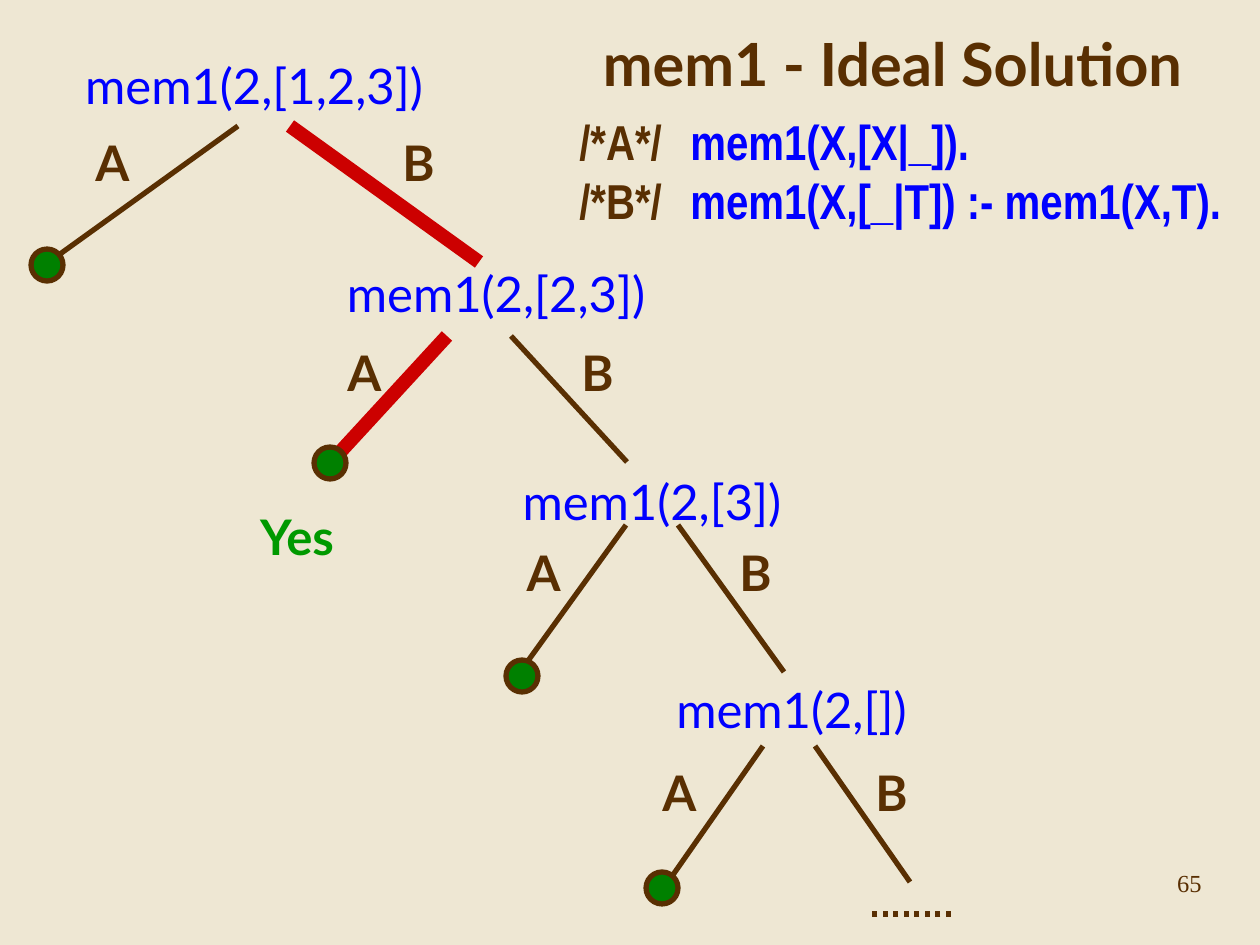
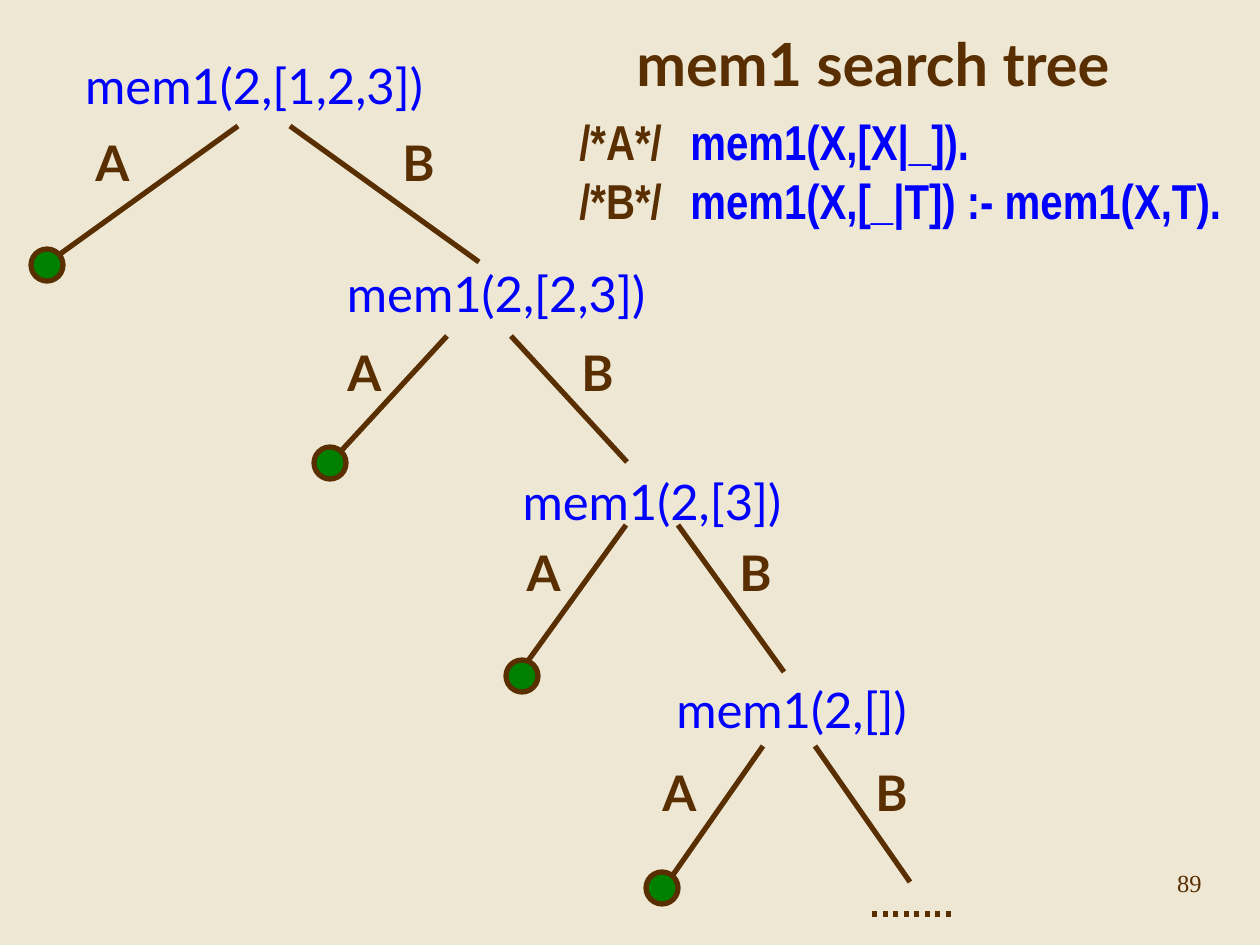
from collections import namedtuple

from lxml import etree
from pptx import Presentation
from pptx.dml.color import RGBColor
from pptx.enum.dml import MSO_LINE
from pptx.enum.shapes import MSO_CONNECTOR, MSO_SHAPE
from pptx.enum.text import MSO_ANCHOR, MSO_AUTO_SIZE, PP_ALIGN
from pptx.oxml.ns import qn
from pptx.util import Pt

STRAIGHT = MSO_CONNECTOR.STRAIGHT
OVAL = MSO_SHAPE.OVAL
DOTTED = MSO_LINE.ROUND_DOT
CENTER, LEFT = PP_ALIGN.CENTER, PP_ALIGN.LEFT

# Shared style
EMU_PER_PX = 914400 / 126
PAPER, BROWN, BLUE = "EEE7D3", "592F02", "0000FF"
RED, NODE_GREEN, YES_GREEN = "CC0000", "008000", "009900"
HEADING_FONT, CODE_FONT, NUMBER_FONT = "Lato", "Arial Narrow", "Times New Roman"
THIN, THICK = 3, 8
TEXT_HEIGHT = 72
NODE_SIZE = 32
CODE_TAB = 111
FRAME_FORMAT = {
    "word_wrap": False,
    "auto_size": MSO_AUTO_SIZE.SHAPE_TO_FIT_TEXT,
    "vertical_anchor": MSO_ANCHOR.MIDDLE,
}

# Search tree: both branches of a level mirror each other about its center
Level = namedtuple(
    "Level", "goal goal_x goal_width center half_gap spread top bottom a_x b_x label_y node"
)
LEVELS = [
    Level("mem1(2,[1,2,3])", 62, 384, 264, 26, 189, 126, 262, 83, 389, 126, (31, 249)),
    Level("mem1(2,[2,3])", 324, 344, 479, 32, 116, 336, 462, 335, 568, 336, (314, 447)),
    Level("mem1(2,[3])", 501, 302, 652, 26, 106, 525, 672, 514, 726, 536, (506, 660)),
    Level("mem1(2,[])", 654, 275, 789, 26, 95, 746, 882, 650, 862, 756, (646, 872)),
]
GOAL_TOP, GOAL_STEP = 49, 208
CLAUSES = [("/*A*/", "mem1(X,[X|_])."), ("/*B*/", "mem1(X,[_|T]) :- mem1(X,T).")]


def px(length):
    return round(length * EMU_PER_PX)


def color(hex_text):
    return RGBColor.from_string(hex_text)


class SlideWriter:
    def __init__(self, deck):
        self.deck = deck
        self.page = None

    def new_page(self):
        self.page = self.deck.slides.add_slide(self.deck.slide_layouts[6])
        fill = self.page.background.fill
        fill.solid()
        fill.fore_color.rgb = color(PAPER)

    def text(self, area, paragraphs, size=28, font=HEADING_FONT, bold=False,
             align=CENTER, tab=None):
        """Each paragraph is a list of (words, hex color) spans."""
        box = self.page.shapes.add_textbox(*map(px, area))
        frame = box.text_frame
        for name, value in FRAME_FORMAT.items():
            setattr(frame, name, value)
        span_format = {"size": Pt(size), "name": font, "bold": bold}
        for index, spans in enumerate(paragraphs):
            para = frame.add_paragraph() if index else frame.paragraphs[0]
            para.alignment = align
            if tab:
                self.tab_stop(para, tab)
            for words, hex_text in spans:
                span = para.add_run()
                span.text = words
                for name, value in span_format.items():
                    setattr(span.font, name, value)
                span.font.color.rgb = color(hex_text)

    def tab_stop(self, para, position):
        properties = para._p.get_or_add_pPr()
        stops = etree.SubElement(properties, qn("a:tabLst"))
        etree.SubElement(stops, qn("a:tab"), pos=str(px(position)), algn="l")

    def line(self, start, end, hex_text=BROWN, width=THIN, dash=None):
        line = self.page.shapes.add_connector(STRAIGHT, *map(px, (*start, *end)))
        line.line.color.rgb = color(hex_text)
        line.line.width = Pt(width)
        if dash:
            line.line.dash_style = dash
        etree.SubElement(line._element.spPr, qn("a:effectLst"))

    def node(self, left, top):
        circle = self.page.shapes.add_shape(
            OVAL, *map(px, (left, top, NODE_SIZE, NODE_SIZE)))
        circle.shadow.inherit = False
        circle.fill.solid()
        circle.fill.fore_color.rgb = color(NODE_GREEN)
        circle.line.color.rgb = color(BROWN)
        circle.line.width = Pt(THIN)

    def branch(self, level, side, marked):
        start = (level.center + side * level.half_gap, level.top)
        end = (start[0] + side * level.spread, level.bottom)
        self.line(start, end, *((RED, THICK) if marked else (BROWN, THIN)))

    def search_tree(self, solution):
        """The solution holds the (level index, branch name) pairs to mark."""
        for index, level in enumerate(LEVELS):
            top = GOAL_TOP + index * GOAL_STEP
            self.text((level.goal_x, top, level.goal_width, TEXT_HEIGHT),
                      [[(level.goal, BLUE)]])
        for index, level in enumerate(LEVELS):
            for name, side, left in (("A", -1, level.a_x), ("B", 1, level.b_x)):
                self.branch(level, side, (index, name) in solution)
                self.text((left, level.label_y, 59, TEXT_HEIGHT),
                          [[(name, BROWN)]], bold=True)
            self.node(*level.node)
        self.line((951, 914), (867, 914), dash=DOTTED)

    def clauses(self):
        paragraphs = [[(f"{label}\t", BROWN), (code, BLUE)] for label, code in CLAUSES]
        self.text((567, 105, 667, 131), paragraphs, font=CODE_FONT, bold=True,
                  align=LEFT, tab=CODE_TAB)

    def title(self, words, left, width):
        self.text((left, 21, width, 84), [[(words, BROWN)]], size=34, bold=True)

    def page_number(self, number):
        self.text((1126, 861, 127, 43), [[(str(number), BROWN)]], size=14,
                  font=NUMBER_FONT)


def main():
    deck = Presentation()
    deck.slide_width, deck.slide_height = px(1260), px(945)
    writer = SlideWriter(deck)

    pages = [
        ("mem1 - Ideal Solution", 556, 673, 65, {(0, "B"), (1, "A")}),
        ("mem1 search tree", 592, 562, 89, set()),
    ]
    for title, left, width, number, solution in pages:
        writer.new_page()
        writer.search_tree(solution)
        writer.clauses()
        writer.page_number(number)
        writer.title(title, left, width)
        # The answer at the end of the marked path
        if solution:
            writer.text((243, 500, 108, TEXT_HEIGHT), [[("Yes", YES_GREEN)]], bold=True)

    deck.save("out.pptx")


if __name__ == "__main__":
    main()
